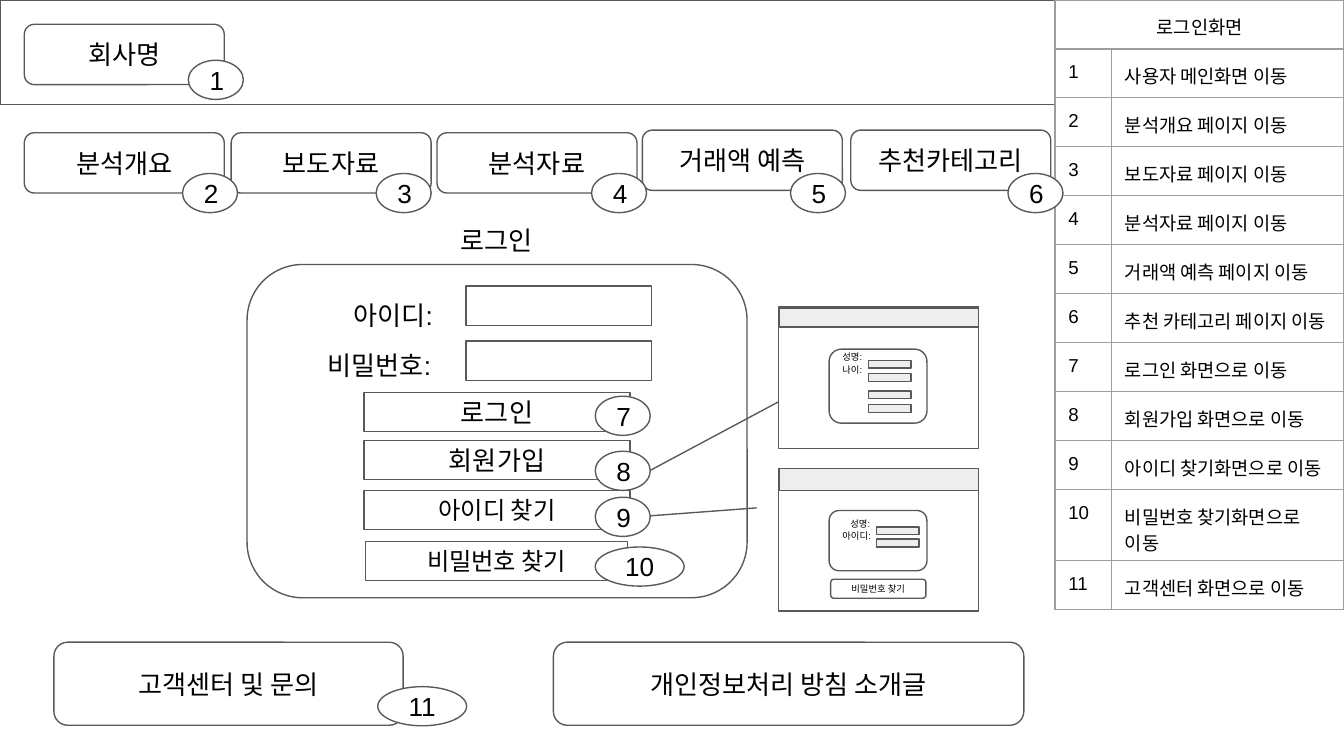
from lxml import etree
from pptx import Presentation
from pptx.enum import shapes, text
from pptx.oxml import ns
from pptx.util import Cm, Pt
from pptx.dml.color import RGBColor

COLORS = {"ink": "000000", "paper": "FFFFFF", "outline": "595959",
          "shade": "EEEEEE", "grid": "9E9E9E"}
FONT = "Arial"
INSET = Cm(0.25)
RECT = shapes.MSO_SHAPE.RECTANGLE
ROUND = shapes.MSO_SHAPE.ROUNDED_RECTANGLE
CIRCLE = shapes.MSO_SHAPE.FLOWCHART_CONNECTOR
CENTER = text.PP_ALIGN.CENTER

# All places are left, top, width, height in centimetres.
BUTTON_W, BUTTON_H = 3.78, 1.14
ROW_H = 0.74
HEADER = (0, 0, 19.94, 1.98)
LOGIN_PANEL = (4.67, 5.0, 9.45, 6.3)
LOGIN_TITLE = ("로그인", (6.91, 3.99, 4.95, 1.12))
LOGIN_FIELDS = [("아이디:", (6.43, 5.41, 2.39, 1.12), 5.41),
                ("비밀번호:", (5.94, 6.35, 2.69, 1.12), 6.45)]
LOGIN_BUTTONS = [("로그인", 6.88, 7.42, 5.03, 14), ("회원가입", 6.88, 8.33, 5.03, 14),
                 ("아이디 찾기", 6.88, 9.27, 5.03, 13),
                 ("비밀번호 찾기", 6.91, 10.24, 4.95, 13)]
MENU = [("회사명", 0.46, 0.46), ("분석개요", 0.46, 2.51), ("보도자료", 4.37, 2.51),
        ("분석자료", 8.26, 2.51), ("거래액 예측", 12.14, 2.46),
        ("추천카테고리", 16.08, 2.46)]
FOOTER = [("고객센터 및 문의", (1.02, 12.14, 6.6, 1.57)),
          ("개인정보처리 방침 소개글", (10.46, 12.14, 8.89, 1.57))]
BADGES = [(3.56, 1.14), (3.45, 3.28), (7.11, 3.28), (11.18, 3.28), (14.94, 3.28),
          (19.05, 3.28), (11.25, 7.49), (11.25, 8.53), (11.25, 9.4),
          (11.25, 10.34), (7.14, 12.98)]
LINKS = [(12.29, 8.89, 14.76, 7.57), (12.29, 9.75, 14.3, 9.6)]
POPUPS = [
    {"window": (14.71, 5.79, 3.78, 2.69), "bar": (14.73, 5.82, 3.76, 0.36),
     "panel": (15.67, 6.6, 1.85, 1.4), "field_left": 16.41,
     "field_tops": (6.81, 7.06, 7.39, 7.65),
     "labels": [("성명:", (15.67, 6.53, 1.04, 0.74)),
                ("나이:", (15.67, 6.78, 1.04, 0.74))], "buttons": []},
    {"window": (14.71, 8.86, 3.78, 2.69), "bar": (14.73, 8.86, 3.76, 0.41),
     "panel": (15.67, 9.65, 1.85, 1.14), "field_left": 16.56,
     "field_tops": (9.96, 10.19),
     "labels": [("성명:", (15.82, 9.68, 1.04, 0.74)),
                ("아이디:", (15.67, 9.91, 1.22, 0.74))],
     "buttons": [("비밀번호 찾기", (15.7, 10.95, 1.8, 0.36))]},
]
TABLE_TITLE = "로그인화면"
TABLE_ROWS = ["사용자 메인화면 이동", "분석개요 페이지 이동", "보도자료 페이지 이동",
              "분석자료 페이지 이동", "거래액 예측 페이지 이동",
              "추천 카테고리 페이지 이동", "로그인 화면으로 이동",
              "회원가입 화면으로 이동", "아이디 찾기화면으로 이동",
              "비밀번호 찾기화면으로 이동", "고객센터 화면으로 이동"]
TABLE_COLUMNS = (1.07, 4.39)
TABLE_ROW_H = 0.79


def rgb(name):
    """Return the named colour."""
    return RGBColor.from_string(COLORS[name])


def write(frame, words, size, align=None):
    """Put one styled paragraph in a text frame."""
    frame.text = words
    para = frame.paragraphs[0]
    para.alignment = align
    for span in para.runs:
        span.font.size, span.font.name = Pt(size), FONT
        span.font.color.rgb = rgb("ink")


def set_insets(holder):
    """Give a text frame or a cell equal margins."""
    holder.margin_left = holder.margin_right = INSET
    holder.margin_top = holder.margin_bottom = INSET


def add_box(kind, place, words="", size=14, fill="paper"):
    """Draw an outlined shape with optional centred text."""
    box = page.shapes.add_shape(kind, *map(Cm, place))
    box.shadow.inherit = False
    if fill:
        box.fill.solid()
        box.fill.fore_color.rgb = rgb(fill)
    else:
        box.fill.background()
    box.line.color.rgb = rgb("outline")
    box.line.width = Pt(0.75)
    if words:
        frame = box.text_frame
        frame.word_wrap = True
        frame.vertical_anchor = text.MSO_ANCHOR.MIDDLE
        set_insets(frame)
        write(frame, words, size, CENTER)


def add_label(words, place, size=14, align=None):
    """Add a plain text box."""
    frame = page.shapes.add_textbox(*map(Cm, place)).text_frame
    frame.word_wrap = True
    frame.auto_size = text.MSO_AUTO_SIZE.SHAPE_TO_FIT_TEXT
    set_insets(frame)
    write(frame, words, size, align)


def add_link(ends):
    """Draw a straight line between two points."""
    link = page.shapes.add_connector(shapes.MSO_CONNECTOR.STRAIGHT, *map(Cm, ends))
    link.line.color.rgb = rgb("outline")
    link.line.width = Pt(0.75)
    etree.SubElement(link._element.spPr, ns.qn("a:effectLst"))


def add_popup(popup):
    """Draw a small screen with its form."""
    add_box(RECT, popup["window"])
    add_box(RECT, popup["bar"], fill="shade")
    add_box(ROUND, popup["panel"], fill=None)
    for top in popup["field_tops"]:
        add_box(RECT, (popup["field_left"], top, 0.81, 0.15), fill="shade")
    for words, place in popup["labels"]:
        add_label(words, place, 5)
    for words, place in popup["buttons"]:
        add_box(ROUND, place, words, 5, None)


def fill_cell(cell, words, align=None):
    """Write a cell and draw its four borders."""
    set_insets(cell)
    write(cell.text_frame, words, 10, align)
    props = cell._tc.get_or_add_tcPr()
    for side in ("a:lnL", "a:lnR", "a:lnT", "a:lnB"):
        border = etree.SubElement(props, ns.qn(side), w=str(Pt(0.75)))
        solid = etree.SubElement(border, ns.qn("a:solidFill"))
        etree.SubElement(solid, ns.qn("a:srgbClr"), val=COLORS["grid"])
    cell.fill.background()


def add_guide():
    """Build the numbered table of actions."""
    count = len(TABLE_ROWS) + 1
    table = page.shapes.add_table(count, 2, Cm(HEADER[2]), Cm(0), Cm(sum(TABLE_COLUMNS)),
                                  Cm(TABLE_ROW_H * count)).table
    table.first_row = table.horz_banding = False
    for column, width in zip(table.columns, TABLE_COLUMNS):
        column.width = Cm(width)
    for row in table.rows:
        row.height = Cm(TABLE_ROW_H)
    table.cell(0, 0).merge(table.cell(0, 1))
    fill_cell(table.cell(0, 0), TABLE_TITLE, CENTER)
    fill_cell(table.cell(0, 1), "")
    for number, words in enumerate(TABLE_ROWS, 1):
        fill_cell(table.cell(number, 0), str(number))
        fill_cell(table.cell(number, 1), words)


deck = Presentation()
deck.slide_width, deck.slide_height = Cm(25.4), Cm(14.29)
page = deck.slides.add_slide(deck.slide_layouts[6])

add_box(RECT, HEADER, fill=None)
add_box(ROUND, LOGIN_PANEL)
add_label(*LOGIN_TITLE, align=CENTER)
for words, place, top in LOGIN_FIELDS:
    add_box(RECT, (8.81, top, 3.51, ROW_H))
    add_label(words, place)
for words, left, top, width, size in LOGIN_BUTTONS:
    add_box(RECT, (left, top, width, ROW_H), words, size)
for ends in LINKS:
    add_link(ends)
for popup in POPUPS:
    add_popup(popup)
add_guide()
for words, left, top in MENU:
    add_box(ROUND, (left, top, BUTTON_W, BUTTON_H), words)
for words, place in FOOTER:
    add_box(ROUND, place, words)
for number, (left, top) in enumerate(BADGES, 1):
    add_box(CIRCLE, (left, top, 1.04 if number < 10 else 1.68, ROW_H), str(number))

deck.save("out.pptx")
